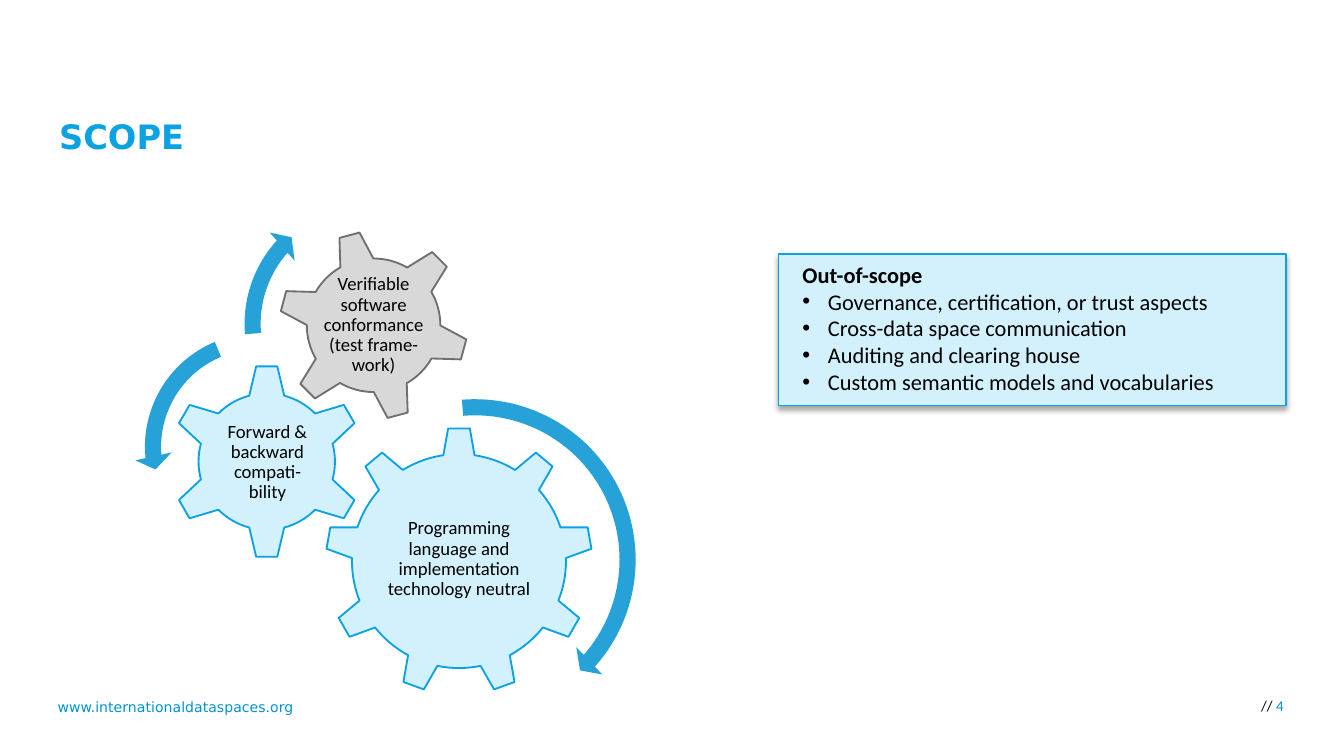
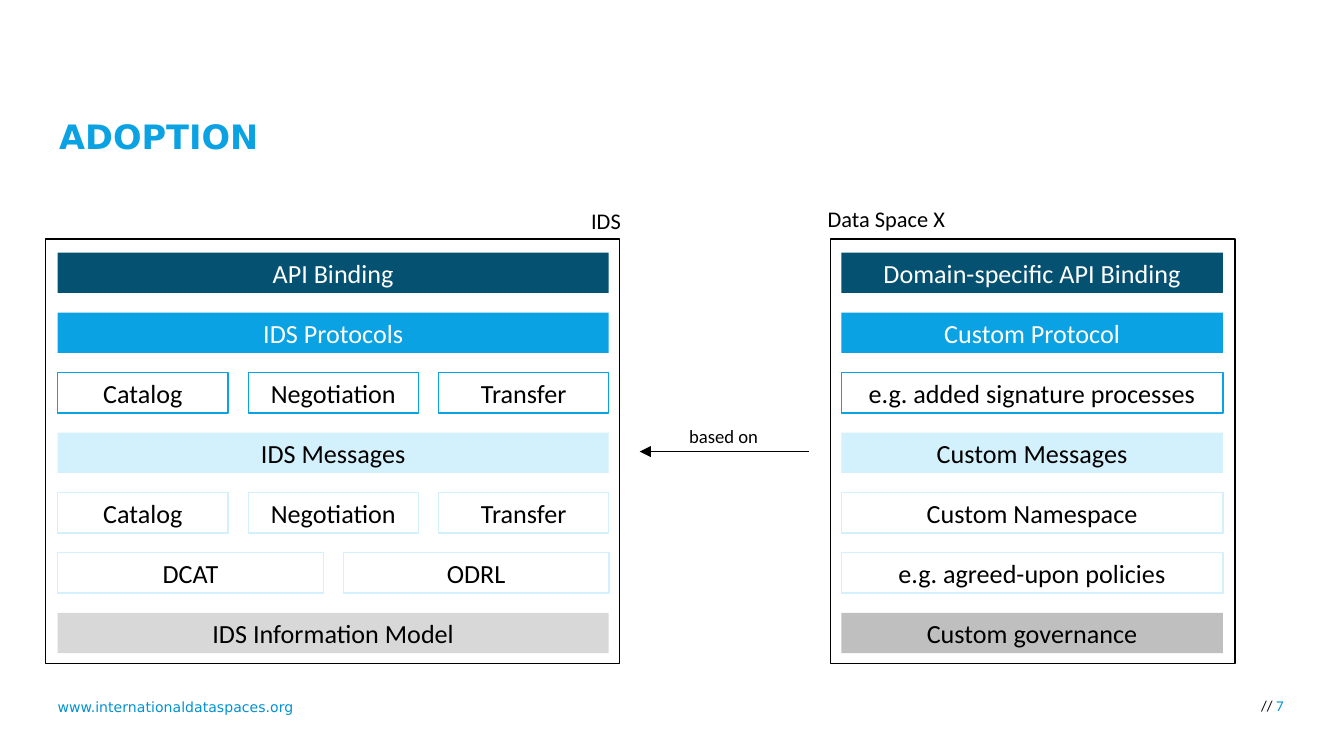
"""Build the scope and adoption slides of the data space deck."""
from dataclasses import dataclass

from lxml import etree
from pptx import Presentation
from pptx import util as u
from pptx.dml.color import RGBColor
from pptx.enum import shapes, text
from pptx.oxml.ns import qn


@dataclass(frozen=True)
class Theme:
    blue: str = "0BA2E3"
    link: str = "0092D2"
    navy: str = "055172"
    pale: str = "D3F1FC"
    silver: str = "D8D8D8"
    gray: str = "BFBFBF"
    dark_gray: str = "6F6F6E"
    black: str = "000000"
    white: str = "FFFFFF"
    body_font: str = "Calibri"
    title_font: str = "DejaVu Sans"
    title: float = 18
    bar: float = 14
    body: float = 12
    label: float = 10
    number: float = 8
    footer: float = 7.5


theme = Theme()
kinds = shapes.MSO_SHAPE
align = text.PP_ALIGN

presentation = Presentation()
presentation.slide_width = u.Inches(10)
presentation.slide_height = presentation.slide_width * 9 // 16
COLUMN = presentation.slide_width // 10


def add_box(slide, kind, cells, fill=None, line=None, weight=0.75):
    """Add a preset shape, or a text box when kind is None, measured in columns."""
    place = [round(cell * COLUMN) for cell in cells]
    if kind is None:
        shape = slide.shapes.add_textbox(*place)
    else:
        shape = slide.shapes.add_shape(kind, *place)
        shape.shadow.inherit = False
    for part, color in ((shape.fill, fill), (shape.line.fill, line)):
        if color:
            part.solid()
            part.fore_color.rgb = RGBColor.from_string(color)
        else:
            part.background()
    if line:
        shape.line.width = u.Pt(weight)
    shape.text_frame.word_wrap = True
    return shape


def write(paragraph, words, size, color=theme.black, alignment=align.LEFT,
          name=theme.body_font, bold=False):
    """Fill a paragraph and set its font."""
    paragraph.text = words
    paragraph.alignment = alignment
    font = paragraph.font
    font.name, font.size, font.bold = name, u.Pt(size), bold
    font.color.rgb = RGBColor.from_string(color)


slides = []
for layout, heading, number in ((1, "SCOPE", "4"), (5, "ADOPTION", "7")):
    slide = presentation.slides.add_slide(presentation.slide_layouts[layout])
    slides.append(slide)
    title = slide.shapes.title
    title.left, title.top, title.width, title.height = (
        round(cell * COLUMN) for cell in (0.34, 0.57, 7.67, 0.65))
    title.text_frame.auto_size = text.MSO_AUTO_SIZE.NONE
    title.text_frame.vertical_anchor = text.MSO_ANCHOR.BOTTOM
    paragraph = title.text_frame.paragraphs[0]
    paragraph.line_spacing = 0.9
    write(paragraph, heading, theme.title, theme.blue, name=theme.title_font, bold=True)

    address = add_box(slide, None, (0.33, 5.15, 2.07, 0.23))
    write(address.text_frame.paragraphs[0], "www.internationaldataspaces.org",
          theme.footer, theme.link, name=theme.title_font)
    page = add_box(slide, None, (8.49, 5.18, 1.16, 0.19))
    paragraph = page.text_frame.paragraphs[0]
    paragraph.line_spacing = 0.6
    write(paragraph, "// ", theme.number, alignment=align.RIGHT)
    run = paragraph.add_run()
    run.text = number
    run.font.color.rgb = RGBColor.from_string(theme.link)

scope, adoption = slides

card = add_box(scope, kinds.RECTANGLE, (5.79, 1.89, 3.78, 1.13), theme.pale, theme.blue)
effects = card.element.spPr.find(qn("a:effectLst"))
shadow = etree.SubElement(effects, qn("a:outerShdw"), blurRad=str(u.Pt(3.1)),
                          dist=str(u.Pt(1.8)), dir="5400000", rotWithShape="0")
shade = etree.SubElement(shadow, qn("a:srgbClr"), val=theme.black)
etree.SubElement(shade, qn("a:alpha"), val="35000")

body = scope.placeholders[1]
body.element.addprevious(card.element)
body.left, body.top, body.width, body.height = (
    round(cell * COLUMN) for cell in (5.87, 1.89, 3.7, 1.11))
body.text_frame.auto_size = text.MSO_AUTO_SIZE.NONE
for index, item in enumerate((
        "Out-of-scope",
        "Governance, certification, or trust aspects",
        "Cross-data space communication",
        "Auditing and clearing house",
        "Custom semantic models and vocabularies")):
    frame = body.text_frame
    paragraph = frame.add_paragraph() if index else frame.paragraphs[0]
    paragraph.space_before = u.Pt(0)
    properties = paragraph._p.get_or_add_pPr()
    indent = u.Inches(0.19) if index else 0
    properties.set("marL", str(indent))
    properties.set("indent", str(-indent))
    if index:
        etree.SubElement(properties, qn("a:buChar"), char="•")
    else:
        etree.SubElement(properties, qn("a:buNone"))
    write(paragraph, item, theme.body, bold=index == 0)

for kind, cells, rotation, fill, line, label_cells, label in (
        (kinds.GEAR_9, (2.42, 3.18, 1.99, 1.99), 0, theme.pale, theme.blue,
         (2.82, 3.65, 1.19, 1.02),
         "Programming language and implementation technology neutral"),
        (kinds.GEAR_6, (1.26, 2.71, 1.45, 1.45), 0, theme.pale, theme.blue,
         (1.63, 3.08, 0.72, 0.72), "Forward & backward compati-bility"),
        (kinds.GEAR_6, (2.07, 1.71, 1.42, 1.42), 345, theme.silver, theme.dark_gray,
         (2.38, 2.02, 0.8, 0.8), "Verifiable software conformance (test frame-work)")):
    gear = add_box(scope, kind, cells, fill, line, 1)
    gear.rotation = rotation
    frame = add_box(scope, None, label_cells).text_frame
    frame.vertical_anchor = text.MSO_ANCHOR.MIDDLE
    frame.margin_left = frame.margin_right = u.Inches(0.01)
    frame.margin_top = frame.margin_bottom = u.Inches(0.01)
    frame.paragraphs[0].line_spacing = 0.9
    write(frame.paragraphs[0], label, theme.label, alignment=align.CENTER)

for kind, left, top, size, percentages in (
        (kinds.CIRCULAR_ARROW, 2.26, 2.89, 2.55, (4.7, 299, 2490.7, 15917.2, 5.5)),
        (kinds.LEFT_CIRCULAR_ARROW, 1, 2.4, 1.85, (6.5, 430, 10489.1, 14837.8, 7.5)),
        (kinds.CIRCULAR_ARROW, 1.74, 1.41, 2, (6, 394.1, 13313.8, 10508.2, 7))):
    arrow = add_box(scope, kind, (left, top, size, size), theme.link)
    for index, percentage in enumerate(percentages):
        arrow.adjustments[index] = percentage / 100
    color = arrow.element.spPr.find(qn("a:solidFill"))[0]
    etree.SubElement(color, qn("a:alpha"), val="85000")

navy = (theme.navy, None, theme.white)
blue = (theme.blue, None, theme.white)
pale = (theme.pale, None, theme.black)
blue_outline = (None, theme.blue, theme.black)
pale_outline = (None, theme.pale, theme.black)
silver = (theme.silver, None, theme.black)
gray = (theme.gray, None, theme.black)
parts = ("Catalog", "Negotiation", "Transfer")
FIRST_ROW, LAST_ROW, BAR_HEIGHT, GAP = 1.88, 4.56, 0.3, 0.15

for frame_left, frame_width, left, width, rows in (
        (0.34, 4.27, 0.43, 4.1, (
            (navy, ("API Binding",)),
            (blue, ("IDS Protocols",)),
            (blue_outline, parts),
            (pale, ("IDS Messages",)),
            (pale_outline, parts),
            (pale_outline, ("DCAT", "ODRL")),
            (silver, ("IDS Information Model",)))),
        (6.18, 3.01, 6.26, 2.84, (
            (navy, ("Domain-specific API Binding",)),
            (blue, ("Custom Protocol",)),
            (blue_outline, ("e.g. added signature processes",)),
            (pale, ("Custom Messages",)),
            (pale_outline, ("Custom Namespace",)),
            (pale_outline, ("e.g. agreed-upon policies",)),
            (gray, ("Custom governance",))))):
    add_box(adoption, kinds.RECTANGLE, (frame_left, 1.78, frame_width, 3.16),
            line=theme.black)
    pitch = (LAST_ROW - FIRST_ROW) / (len(rows) - 1)
    for row, ((fill, line, color), names) in enumerate(rows):
        bar_width = (width - GAP * (len(names) - 1)) / len(names)
        for column, name in enumerate(names):
            bar = add_box(adoption, kinds.RECTANGLE,
                          (left + column * (bar_width + GAP), FIRST_ROW + row * pitch,
                           bar_width, BAR_HEIGHT), fill, line)
            write(bar.text_frame.paragraphs[0], name, theme.bar, color, align.CENTER)

for label, cells, size in (
        ("IDS", (4.3, 1.49, 0.42, 0.3), theme.body),
        ("Data Space X", (6.06, 1.48, 1.09, 0.3), theme.body),
        ("based on", (5.03, 3.11, 0.72, 0.27), theme.label)):
    caption = add_box(adoption, None, cells)
    caption.text_frame.word_wrap = False
    write(caption.text_frame.paragraphs[0], label, size)

relation = adoption.shapes.add_connector(
    shapes.MSO_CONNECTOR.STRAIGHT,
    *(round(cell * COLUMN) for cell in (6.02, 3.36, 4.76, 3.36)))
relation.line.color.rgb = RGBColor.from_string(theme.black)
relation.line.width = u.Pt(0.75)
outline = relation.element.spPr.find(qn("a:ln"))
etree.SubElement(outline, qn("a:tailEnd"), type="triangle")
etree.SubElement(relation.element.spPr, qn("a:effectLst"))

presentation.save("out.pptx")
